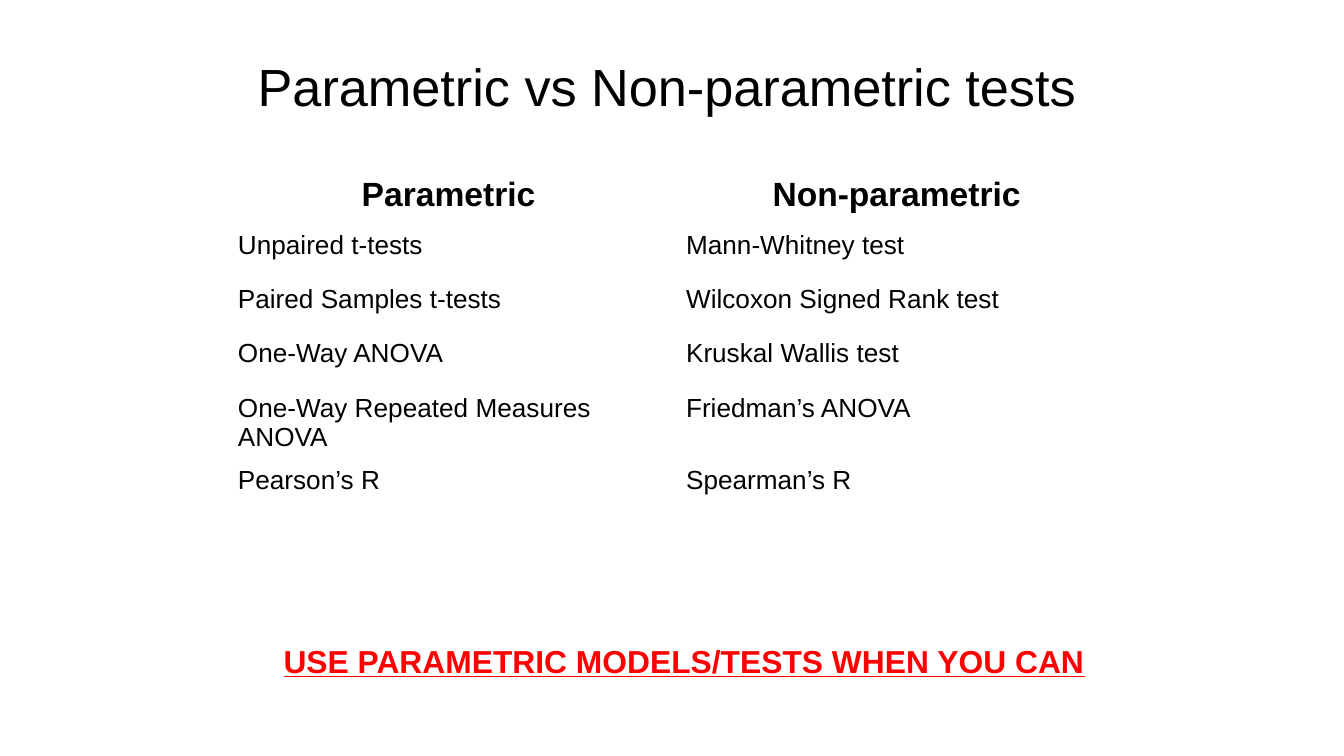
from pptx import Presentation
from pptx.dml.color import RGBColor
from pptx.enum.text import MSO_ANCHOR, MSO_AUTO_SIZE, PP_ALIGN
from pptx.util import Inches, Pt

COLORS = {"text": "000000", "warning": "FF0000"}
TITLE_FORMAT = {"size": Pt(28), "bold": False}
WARNING_FORMAT = {"size": Pt(17), "bold": True, "underline": True}
HEADER_FORMAT = {"size": Pt(18), "bold": True}
CELL_FORMAT = {"size": Pt(14), "bold": False}
TESTS = [
    ("Parametric", "Non-parametric"),
    ("Unpaired t-tests", "Mann-Whitney test"),
    ("Paired Samples t-tests", "Wilcoxon Signed Rank test"),
    ("One-Way ANOVA", "Kruskal Wallis test"),
    ("One-Way Repeated Measures ANOVA", "Friedman’s ANOVA"),
    ("Pearson’s R", "Spearman’s R"),
]


def write_text(frame, text, formats, color="text", align=PP_ALIGN.CENTER):
    para = frame.paragraphs[0]
    para.alignment = align
    span = para.add_run()
    span.text = text
    span.font.name = "Arial"
    span.font.color.rgb = RGBColor.from_string(COLORS[color])
    for name, value in formats.items():
        setattr(span.font, name, value)
    return para


def place(box, left, top, width, height):
    """Move a placeholder and format its text frame."""
    box.left, box.top = Inches(left), Inches(top)
    box.width, box.height = Inches(width), Inches(height)
    settings = {"word_wrap": True, "auto_size": MSO_AUTO_SIZE.NONE,
                "vertical_anchor": MSO_ANCHOR.TOP}
    for side in ("left", "top", "right", "bottom"):
        settings[f"margin_{side}"] = Inches(0.1)
    for name, value in settings.items():
        setattr(box.text_frame, name, value)


def add_title(page):
    title = page.shapes.title
    place(title, 0.3, 0.3, 9.32, 0.47)
    write_text(title.text_frame, "Parametric vs Non-parametric tests", TITLE_FORMAT)


def add_warning(page):
    body = page.placeholders[1]
    place(body, 0.3, 4.63, 9.58, 0.58)
    para = write_text(body.text_frame, "USE PARAMETRIC MODELS/TESTS WHEN YOU CAN",
                      WARNING_FORMAT, "warning")
    para.line_spacing = 1.15
    para.space_before = Pt(0)
    properties = para._p.get_or_add_pPr()
    properties.set("marL", "0")
    properties.set("indent", "0")
    bullet = properties.makeelement(
        "{http://schemas.openxmlformats.org/drawingml/2006/main}buNone", {})
    properties.append(bullet)


def add_tests_table(page):
    table = page.shapes.add_table(len(TESTS), 2, Inches(1.67), Inches(1.26),
                                  Inches(6.67), Inches(2.43)).table
    table.first_row = False
    table.horz_banding = False
    for row_index, names in enumerate(TESTS):
        header = row_index == 0
        for column_index, name in enumerate(names):
            cell = table.cell(row_index, column_index)
            cell.fill.background()
            write_text(cell.text_frame, name,
                       HEADER_FORMAT if header else CELL_FORMAT,
                       align=PP_ALIGN.CENTER if header else PP_ALIGN.LEFT)


def main():
    deck = Presentation()
    deck.slide_width = Inches(10)
    deck.slide_height = deck.slide_width * 9 // 16
    page = deck.slides.add_slide(deck.slide_layouts[1])
    add_title(page)
    add_warning(page)
    add_tests_table(page)
    deck.save("out.pptx")


if __name__ == "__main__":
    main()
